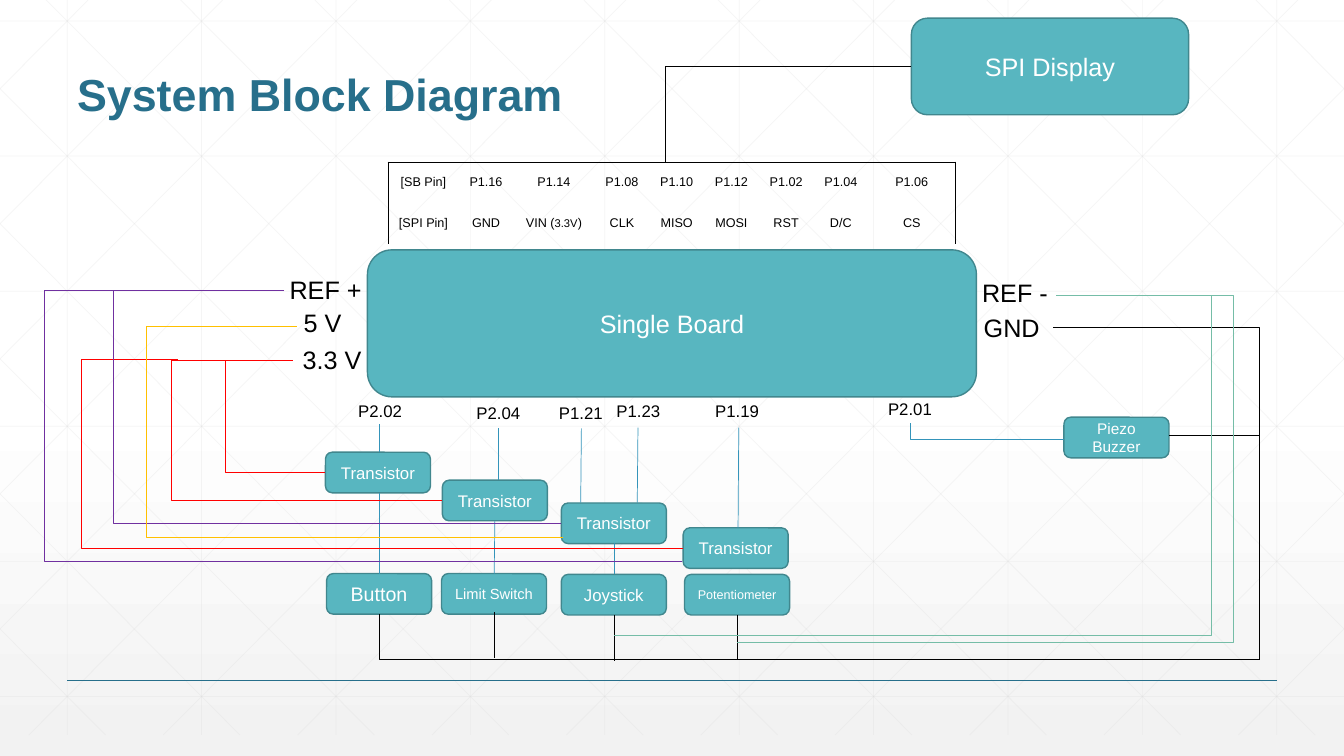
from lxml.etree import SubElement
from pptx import Presentation
from pptx.dml.color import RGBColor
from pptx.enum.shapes import MSO_CONNECTOR as Connector, MSO_SHAPE as Shape
from pptx.enum.text import MSO_ANCHOR as Anchor, PP_ALIGN as Align
from pptx.oxml.ns import qn
from pptx.util import Pt

WIDTH, HEIGHT = 960, 540
WHITE = RGBColor(0xFF, 0xFF, 0xFF)
BLACK = RGBColor(0x00, 0x00, 0x00)
PALE = RGBColor(0xF2, 0xF2, 0xF2)
GRID = RGBColor(0xD9, 0xD9, 0xD9)
NAVY = RGBColor(0x27, 0x6F, 0x8B)
TEAL = RGBColor(0x58, 0xB6, 0xC0)
DARK_TEAL = RGBColor(0x41, 0x87, 0x8E)
BLUE = RGBColor(0x34, 0x94, 0xBA)
RED = RGBColor(0xFF, 0x00, 0x00)
PURPLE = RGBColor(0x70, 0x30, 0xA0)
YELLOW = RGBColor(0xFF, 0xC0, 0x00)
GREEN = RGBColor(0x75, 0xBD, 0xA7)


def write_text(frame, text, size=12, color=BLACK, bold=False,
               align=Align.CENTER, anchor=Anchor.MIDDLE):
    """Text is a string, or a list of (string, size) runs."""
    frame.word_wrap = True
    frame.vertical_anchor = anchor
    paragraph = frame.paragraphs[0]
    paragraph.alignment = align
    for content, run_size in [(text, size)] if isinstance(text, str) else text:
        run = paragraph.add_run()
        run.text = content
        font = run.font
        font.name, font.size, font.bold = "Arial", Pt(run_size), bold
        font.color.rgb = color


class Diagram:
    font_size = 12
    wire_width = 0.5

    def __init__(self, slide):
        self.slide = slide
        self.shapes = slide.shapes

    def background(self):
        fill = self.slide.background.fill
        fill.gradient()
        fill.gradient_angle = 270
        for stop, position, color in zip(fill.gradient_stops, (0.53, 1), (WHITE, PALE)):
            stop.position, stop.color.rgb = position, color

    def line(self, start, end, color=BLACK, width=wire_width, alpha=None, bend=None):
        """Straight line, or an elbow whose vertical part lies at x = bend."""
        kind = Connector.STRAIGHT if bend is None else Connector.ELBOW
        connector = self.shapes.add_connector(kind, *map(Pt, (*start, *end)))
        connector.line.color.rgb = color
        connector.line.width = Pt(width)
        properties = connector._element.spPr
        if alpha is not None:
            tint = properties.find(".//" + qn("a:srgbClr"))
            SubElement(tint, qn("a:alpha"), val=str(alpha * 1000))
        if bend is not None:
            ratio = round((bend - start[0]) / (end[0] - start[0]) * 100000)
            guides = properties.find(".//" + qn("a:avLst"))
            SubElement(guides, qn("a:gd"), name="adj1", fmla=f"val {ratio}")
        SubElement(properties, qn("a:effectLst"))

    def block(self, text, left, top, width=75, height=29, size=font_size):
        shape = self.shapes.add_shape(Shape.ROUNDED_RECTANGLE,
                                      *map(Pt, (left, top, width, height)))
        shape.shadow.inherit = False
        shape.fill.solid()
        shape.fill.fore_color.rgb = TEAL
        shape.line.color.rgb = DARK_TEAL
        shape.line.width = Pt(1)
        write_text(shape.text_frame, text, size=size, color=WHITE)

    def text(self, text, left, top, width, height, **text_format):
        box = self.shapes.add_textbox(*map(Pt, (left, top, width, height)))
        write_text(box.text_frame, text, **text_format)

    def label(self, text, center, top, size=font_size):
        self.text(text, center - 43, top, 86, size * 1.2 + 7.2,
                  size=size, anchor=Anchor.TOP)

    def pin_table(self, rows, left, top, widths, row_height):
        frame = self.shapes.add_table(len(rows), len(widths), Pt(left), Pt(top),
                                      Pt(sum(widths)), Pt(row_height * len(rows)))
        table = frame.table
        table.first_row = table.horz_banding = False
        for column, width in zip(table.columns, widths):
            column.width = Pt(width)
        for row_index, row in enumerate(rows):
            table.rows[row_index].height = Pt(row_height)
            for column_index, text in enumerate(row):
                cell = table.cell(row_index, column_index)
                cell.margin_left = cell.margin_right = Pt(0)
                cell.fill.background()
                write_text(cell.text_frame, text, size=9)
                cell.vertical_anchor = Anchor.MIDDLE
                self.borders(cell, L=column_index == 0, T=row_index == 0, B=False,
                             R=column_index == len(widths) - 1)

    def borders(self, cell, **sides):
        properties = cell._tc.get_or_add_tcPr()
        for index, side in enumerate("LRTB"):
            border = SubElement(properties, qn("a:ln" + side), w=str(Pt(1)))
            if sides[side]:
                fill = SubElement(border, qn("a:solidFill"))
                SubElement(fill, qn("a:srgbClr"), val=str(BLACK))
            else:
                SubElement(border, qn("a:noFill"))
            properties.insert(index, border)


presentation = Presentation()
presentation.slide_width, presentation.slide_height = Pt(WIDTH), Pt(HEIGHT)
diagram = Diagram(presentation.slides.add_slide(presentation.slide_layouts[6]))

# Background: square grid and mirrored diagonals
diagram.background()
GRID_BOTTOM, SLOPE = 525, 0.995
grid_lines = [((48 + 96 * i, 0), (48 + 96 * i, GRID_BOTTOM)) for i in range(10)]
grid_lines += [((0, 15 + 96.5 * i), (WIDTH, 15 + 96.5 * i)) for i in range(6)]
for i in range(-5, 10):
    offset = 33 + 96 * i
    first_y = max(0, -offset / SLOPE)
    last_y = min(GRID_BOTTOM, (WIDTH - offset) / SLOPE)
    ends = [(offset + SLOPE * y, y) for y in (first_y, last_y)]
    grid_lines += [ends, [(WIDTH - x, y) for x, y in ends]]
for start, end in grid_lines:
    diagram.line(start, end, GRID, alpha=25)
diagram.line((48, 486), (912, 486), NAVY, width=1)

# Title
diagram.text("System Block Diagram", 48, 17.5, 864, 72, size=32, color=NAVY,
             bold=True, align=Align.LEFT, anchor=Anchor.BOTTOM)

# Blocks
diagram.block("Single Board", 262.5, 178.5, 435, 105, size=18)
diagram.block("SPI Display", 651, 13, 198, 69, size=18)
diagram.block("Piezo Buzzer", 760, 298, size=11)
for left, top in ((232.5, 323), (316, 343), (401, 359.3), (488, 377)):
    diagram.block("Transistor", left, top)
for name, left, top, size in (("Button", 233.3, 409.7, 14),
                              ("Limit Switch", 315.4, 409.7, 10.5),
                              ("Joystick", 401, 410.3, 12),
                              ("Potentiometer", 489, 410.3, 9)):
    diagram.block(name, left, top, size=size)

# Display pin table
diagram.pin_table(
    [["[SB Pin]", "P1.16", "P1.14", "P1.08", "P1.10", "P1.12", "P1.02", "P1.04", "P1.06"],
     ["[SPI Pin]", "GND", [("VIN (", 9), ("3.3V", 8), (")", 9)], "CLK", "MISO", "MOSI",
      "RST", "D/C", "CS"]],
    277.3, 115.8, [50.3, 39.1, 58] + [39.1] * 5 + [62.3], 29.2)

# Power and pin labels
for name, center, top in (("REF +", 232.6, 192.5), ("5 V", 230.4, 216), ("3.3 V", 237.2, 242.5),
                          ("REF -", 725, 194.5), ("GND", 722.7, 219.5)):
    diagram.label(name, center, top, size=18)
for name, center, top in (("P2.02", 271.5, 283), ("P2.04", 356, 284), ("P1.21", 415, 284),
                          ("P1.23", 456, 282.5), ("P1.19", 526.5, 282.5), ("P2.01", 650, 281.5)):
    diagram.label(name, center, top)

# Straight wires
for color, wires in (
    (BLUE, [((271, 303), (271, 323)), ((356, 306), (356, 343)), ((271, 352), (271, 410)),
            ((353.5, 372), (353, 410)), ((415.3, 306), (414.8, 359)),
            ((455.7, 305.5), (455.2, 359)), ((438.7, 388), (438.7, 410)),
            ((527.7, 305.5), (527.2, 377))]),
    (BLACK, [((353, 437), (353, 470)), ((438.7, 439), (438.7, 472)),
             ((526.7, 439), (526.7, 471)), ((835, 311), (900, 311))]),
    (RED, [((209, 257.4), (122.5, 257.4))]),
    (PURPLE, [((203, 207.5), (48, 207.5))]),
    (YELLOW, [((212, 233), (105, 233))]),
    (GREEN, [((862, 211), (754.5, 211))]),
):
    for start, end in wires:
        diagram.line(start, end, color)

# Bent wires: colour, start, end, x of the vertical part
for color, start, end, bend in (
    (BLACK, (271, 438.5), (900, 471), 271),
    (BLACK, (899.7, 471), (752, 234), 899.7),
    (BLACK, (476, 115.8), (651, 47.5), 475.3),
    (BLUE, (760, 314), (650.5, 302.5), 650.5),
    (RED, (122.5, 257.4), (316, 357.3), 122.5),
    (RED, (139, 257.4), (232.5, 337.5), 161),
    (RED, (127, 256.8), (488, 391.7), 58.3),
    (PURPLE, (44, 207.5), (401, 373.8), 81),
    (PURPLE, (49, 207.5), (487.5, 401), 31.7),
    (YELLOW, (112, 233), (402, 384), 104.8),
    (GREEN, (438.7, 453.7), (873, 211), 865.2),
    (GREEN, (526.7, 459), (854, 211), 881),
):
    diagram.line(start, end, color, bend=bend)

presentation.save("out.pptx")
